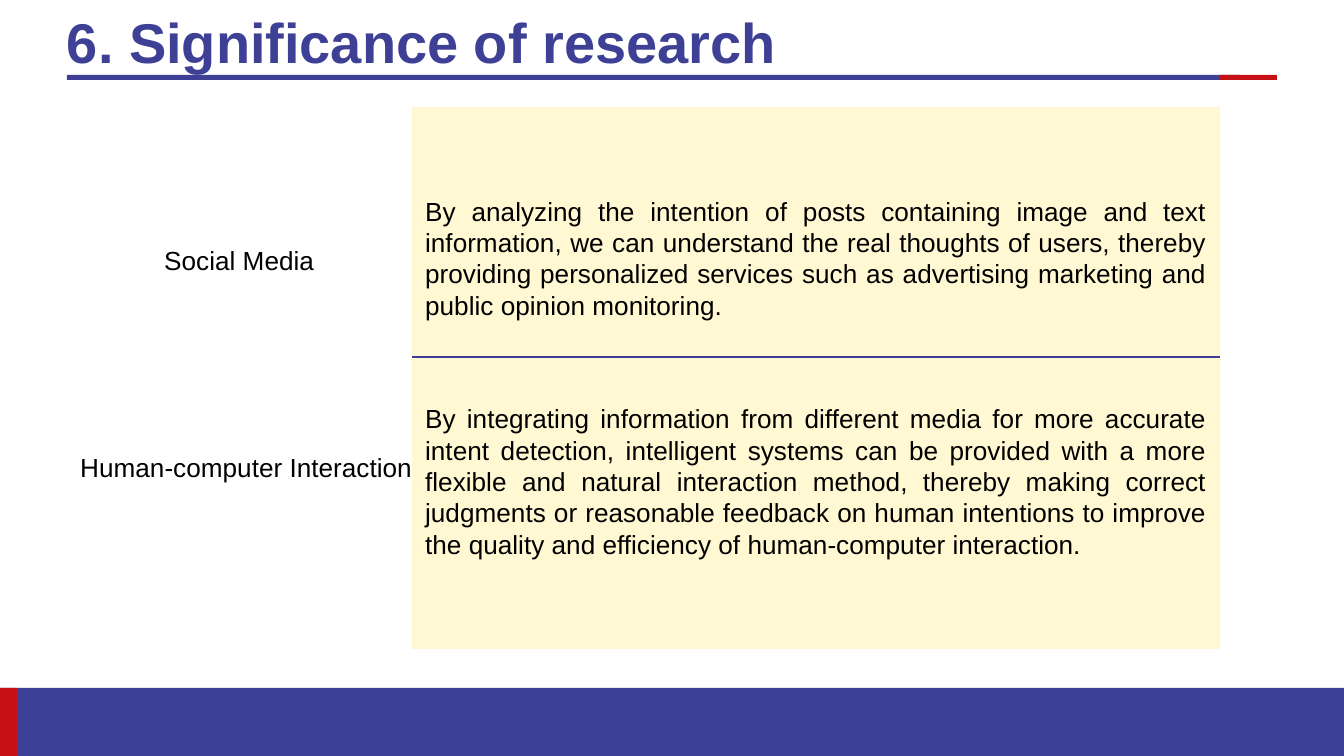
import pptx
import pptx.util
import pptx.dml.color
import pptx.enum.shapes
import pptx.enum.text
import pptx.oxml

PX = 914400 / 134.4
COLORS = {"blue": "3E4095", "red": "C51116", "cream": "FFF8D2", "rule": "3B3D94", "black": "000000"}


def box(left, top, width, height, fill=None):
    place = [round(v * PX) for v in (left, top, width, height)]
    if fill is None:
        return slide.shapes.add_textbox(*place)
    shape = slide.shapes.add_shape(pptx.enum.shapes.MSO_SHAPE.RECTANGLE, *place)
    shape.shadow.inherit = False
    shape.fill.solid()
    shape.fill.fore_color.rgb = pptx.dml.color.RGBColor.from_string(COLORS[fill])
    shape.line.fill.background()
    return shape


def style(paragraph, size, color, bold=False):
    for run in paragraph.runs:
        run.font.name = "Arial"
        run.font.size = pptx.util.Pt(size)
        run.font.bold = bold
        run.font.color.rgb = pptx.dml.color.RGBColor.from_string(COLORS[color])


deck = pptx.Presentation()
deck.slide_width = round(1344 * PX)
deck.slide_height = round(756 * PX)
slide = deck.slides.add_slide(deck.slide_layouts[6])

for left, top, width, height, fill in [
    (67, 75, 1172, 5, "blue"),
    (1220, 75, 57, 5, "red"),
    (0, 688, 1344, 68, "blue"),
    (0, 688, 17, 68, "red"),
]:
    box(left, top, width, height, fill)

title = box(67, 0, 1210, 90).text_frame
title.margin_left = title.margin_right = title.margin_top = title.margin_bottom = 0
title.word_wrap = True
title.vertical_anchor = pptx.enum.text.MSO_ANCHOR.MIDDLE
title.text = "6. Significance of research"
title.paragraphs[0].line_spacing = 0.9
style(title.paragraphs[0], 30, "blue", True)

benefits = box(412, 107, 808, 542, "cream").text_frame
benefits.word_wrap = True
benefits.vertical_anchor = pptx.enum.text.MSO_ANCHOR.TOP
benefits.margin_top = round(88 * PX)
benefits.text = (
    "By analyzing the intention of posts containing image and text information, "
    "we can understand the real thoughts of users, thereby providing personalized "
    "services such as advertising marketing and public opinion monitoring.\n"
    "By integrating information from different media for more accurate intent "
    "detection, intelligent systems can be provided with a more flexible and natural "
    "interaction method, thereby making correct judgments or reasonable feedback on "
    "human intentions to improve the quality and efficiency of human-computer interaction."
)
for benefit in benefits.paragraphs:
    benefit.alignment = pptx.enum.text.PP_ALIGN.JUSTIFY
    benefit.line_spacing = pptx.util.Pt(16.8)
    style(benefit, 14, "black")
benefits.paragraphs[1].space_before = pptx.util.Pt(44)

divider = slide.shapes.add_connector(
    pptx.enum.shapes.MSO_CONNECTOR.STRAIGHT, *[round(v * PX) for v in (412, 357, 1220, 357)]
)
divider.line.color.rgb = pptx.dml.color.RGBColor.from_string(COLORS["rule"])
divider.line.width = pptx.util.Pt(0.75)
divider._element.spPr.append(pptx.oxml.parse_xml(
    '<a:effectLst xmlns:a="http://schemas.openxmlformats.org/drawingml/2006/main"/>'
))

for field, left, top, width in [
    ("Social Media", 151, 238, 177),
    ("Human-computer Interaction", 67, 445, 360),
]:
    label = box(left, top, width, 59).text_frame
    label.word_wrap = False
    label.text = field
    style(label.paragraphs[0], 14, "black")

deck.save("out.pptx")
